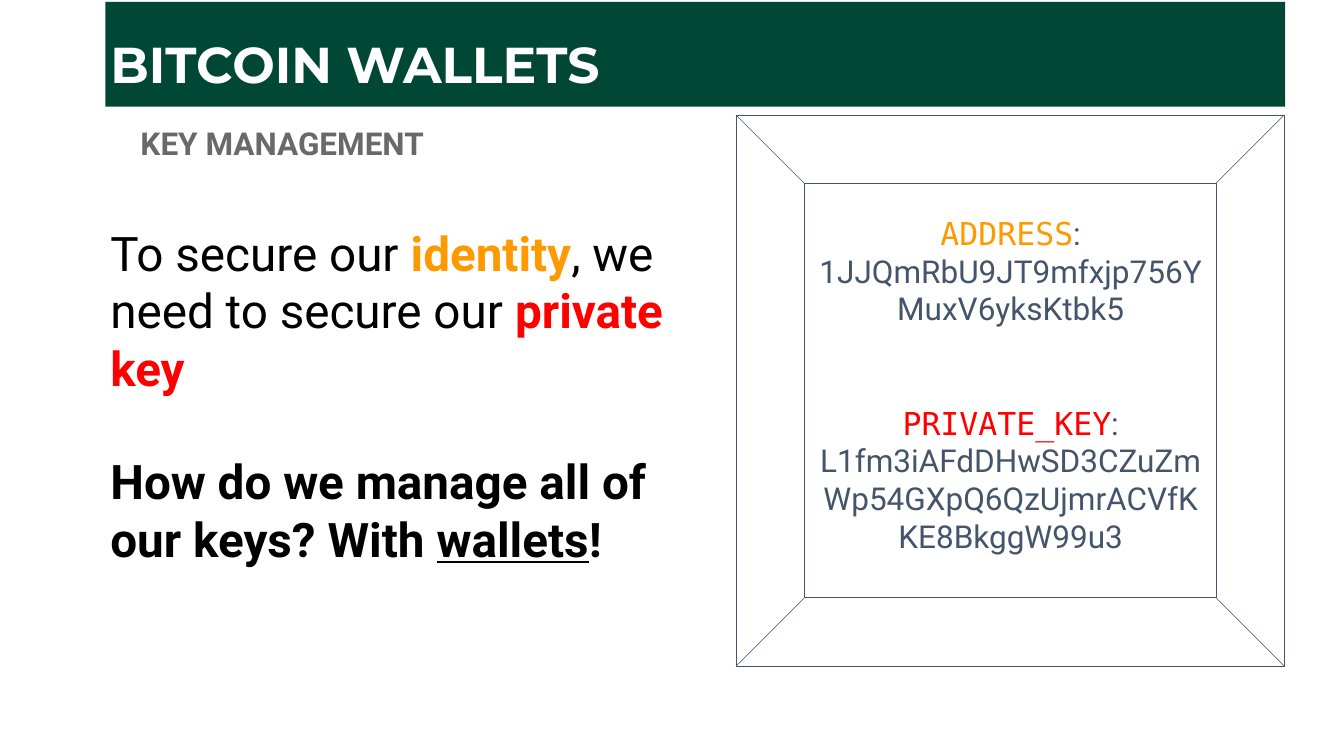
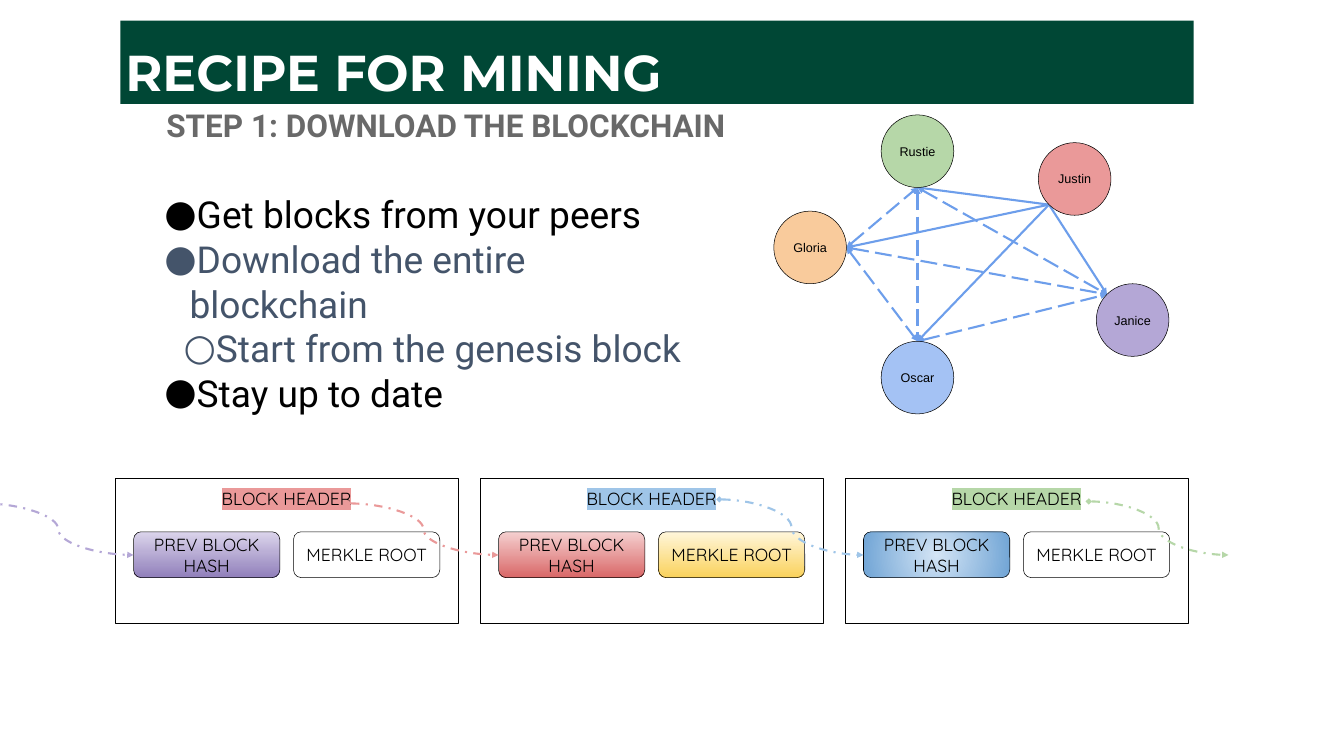
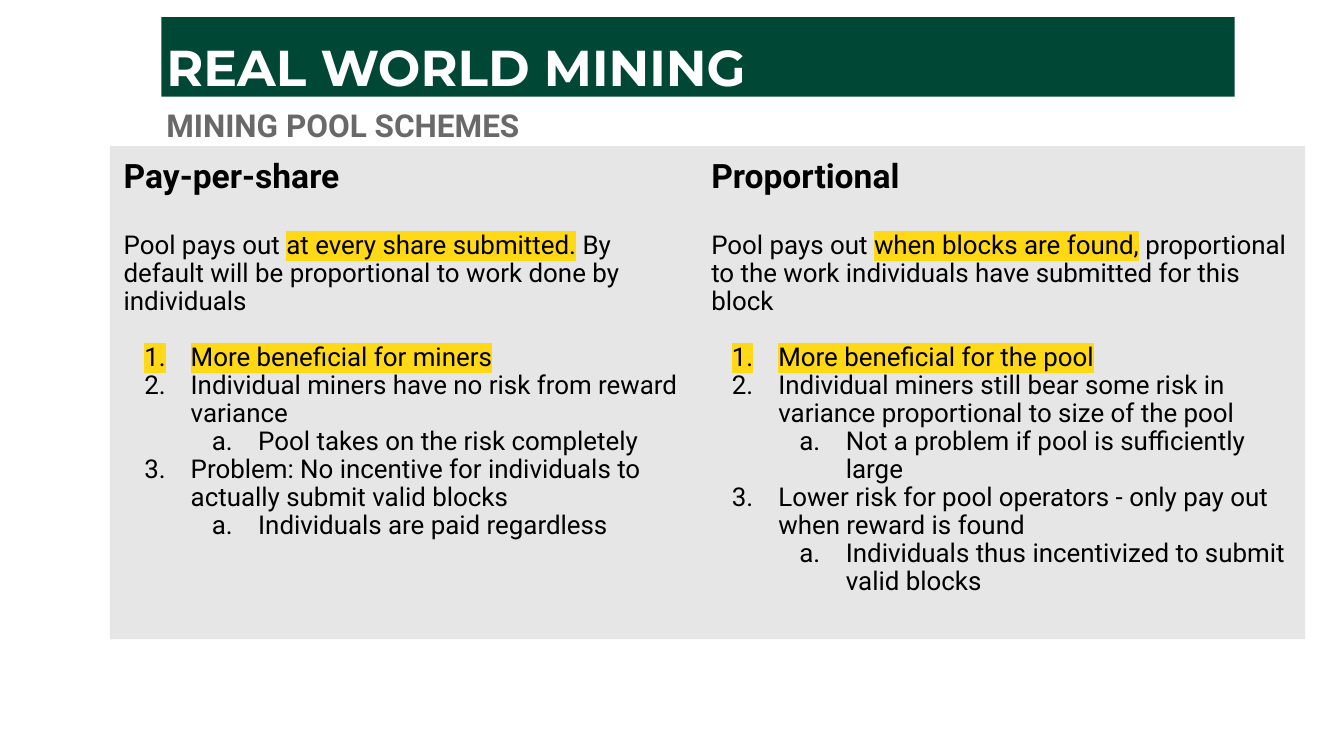
"""Build three slides on wallets, mining and pool schemes."""
from dataclasses import dataclass
from itertools import combinations
from math import cos, radians, sin
from typing import NamedTuple

from lxml import etree
from pptx import Presentation
from pptx import util as u
from pptx.dml.color import RGBColor
from pptx.enum import dml, shapes, text
from pptx.oxml import ns


@dataclass(frozen=True)
class Theme:
    """Colours, fonts and type sizes."""
    green: str = "004735"
    white: str = "FFFFFF"
    black: str = "000000"
    grey: str = "696969"
    panel: str = "E7E6E6"
    slate: str = "44546A"
    orange: str = "FF9900"
    red: str = "FF0000"
    marker: str = "FFD816"
    link: str = "6D9EEB"
    chain: tuple[str, ...] = ("B4A7D6", "EA9999", "9FC5E8", "B6D7A8")
    body_font: str = "Roboto"
    title_font: str = "Montserrat"
    code_font: str = "DejaVu Sans Mono"
    block_font: str = "Quicksand"
    peer_font: str = "Arial"
    title: float = 72
    statement: float = 68
    steps: float = 53
    heading: float = 48
    subtitle: float = 45
    scheme: float = 37
    block: float = 25
    peer: float = 18
    thin: float = 0.75
    thick: float = 3


THEME = Theme()


class Area(NamedTuple):
    """Left, top, width and height in centimetres."""
    left: float
    top: float
    width: float
    height: float

    def lengths(self) -> list[u.Length]:
        """Give the four values as lengths."""
        return [u.Cm(value) for value in self]


class Span(NamedTuple):
    """Text with what differs from its paragraph."""
    words: str
    colour: str | None = None
    bold: bool | None = None
    underline: bool | None = None
    font: str | None = None
    mark: str | None = None


class Bullet(NamedTuple):
    """Bullet kind, its sign and the indents in centimetres."""
    tag: str
    attribute: str
    sign: str
    margin: float
    hang: float
    level: int = 0


@dataclass
class Para:
    """A paragraph and its format."""
    spans: list[Span]
    size: float
    colour: str = THEME.black
    font: str = THEME.body_font
    bold: bool = False
    centred: bool = False
    gap: float = 0
    spacing: float = 1.0
    bullet: Bullet | None = None


class Peer(NamedTuple):
    """A network member, its centre and the angle where links meet it."""
    name: str
    colour: str
    x: float
    y: float
    angle: float

    def hook(self) -> tuple[float, float]:
        """Give the point on the rim where links end."""
        turn = radians(self.angle)
        return self.x + RADIUS * cos(turn), self.y + RADIUS * sin(turn)


class Block(NamedTuple):
    """Fills of the two fields of a block."""
    hash_fill: tuple[str, ...]
    root_fill: tuple[str, ...]
    radial: bool = False


class Scheme(NamedTuple):
    """A pool scheme with its payout rule and listed effects."""
    name: str
    payout: tuple[str, str, str]
    effects: list[tuple[int, str]]


RADIUS = 1.83
DOT = Bullet("a:buChar", "char", "●", 1.27, -1.57)
RING = Bullet("a:buChar", "char", "○", 2.54, -1.57, 1)
NUMBERS = (Bullet("a:buAutoNum", "type", "arabicPeriod", 3.38, -2.34),
           Bullet("a:buAutoNum", "type", "alphaLcPeriod", 6.78, -2.34, 1))

PEERS = [
    Peer("Justin", "EA9999", 54.15, 9.02, 135),
    Peer("Gloria", "F9CB9C", 40.82, 12.47, 0),
    Peer("Rustie", "B6D7A8", 46.23, 7.62, 90),
    Peer("Oscar", "A4C2F4", 46.23, 19.03, 270),
    Peer("Janice", "B4A7D6", 57.07, 16.13, 225),
]
BLOCKS = [
    Block(("DBD4EB", "9180BB"), (THEME.white,)),
    Block(("F5D0D0", "D96868"), ("FFF6DB", "FAD25C")),
    Block(("D4E5F5", "70A4D5"), (THEME.white,), radial=True),
]
LINK_STARTS = [(-0.86, 25.37), (17.55, 25.37), (36.25, 25.17), (54.86, 25.27)]
SCHEMES = [
    Scheme("Pay-per-share",
           ("Pool pays out ", "at every share submitted.",
            " By default will be proportional to work done by individuals"),
           [(0, "More beneficial for miners"),
            (0, "Individual miners have no risk from reward variance"),
            (1, "Pool takes on the risk completely"),
            (0, "Problem: No incentive for individuals to actually submit valid blocks"),
            (1, "Individuals are paid regardless")]),
    Scheme("Proportional",
           ("Pool pays out ", "when blocks are found,",
            " proportional to the work individuals have submitted for this block"),
           [(0, "More beneficial for the pool"),
            (0, "Individual miners still bear some risk in variance proportional to size of the pool"),
            (1, "Not a problem if pool is sufficiently large"),
            (0, "Lower risk for pool operators - only pay out when reward is found"),
            (1, "Individuals thus incentivized to submit valid blocks")]),
]


def add_element(parent, tag: str, **attributes: str):
    """Append a drawing element with its attributes."""
    return etree.SubElement(parent, ns.qn(tag), attributes)


def add_span(para, item: Span) -> None:
    """Add a run with its own format."""
    span = para.add_run()
    span.text = item.words
    if item.mark:
        properties = span._r.get_or_add_rPr()
        add_element(add_element(properties, "a:highlight"), "a:srgbClr", val=item.mark)
    if item.colour:
        span.font.color.rgb = RGBColor.from_string(item.colour)
    if item.bold is not None:
        span.font.bold = item.bold
    if item.underline is not None:
        span.font.underline = item.underline
    if item.font:
        span.font.name = item.font


def format_bullet(para, item: Para) -> None:
    """Set the indents and the bullet of a paragraph."""
    bullet = item.bullet
    properties = para._p.get_or_add_pPr()
    properties.set("marL", str(u.Cm(bullet.margin) if bullet else 0))
    properties.set("indent", str(u.Cm(bullet.hang) if bullet else 0))
    if not bullet:
        add_element(properties, "a:buNone")
        return
    para.level = bullet.level
    add_element(add_element(properties, "a:buClr"), "a:srgbClr", val=item.colour)
    add_element(properties, "a:buFont", typeface=item.font)
    add_element(properties, bullet.tag, **{bullet.attribute: bullet.sign})


def write(box, items: list[Para], inset: tuple[float, float] = (0.25, 0.25),
          middle: bool = False) -> None:
    """Fill a shape with formatted paragraphs."""
    frame = box.text_frame
    frame.auto_size = text.MSO_AUTO_SIZE.NONE
    frame.word_wrap = True
    frame.margin_left = frame.margin_right = u.Cm(inset[0])
    frame.margin_top = frame.margin_bottom = u.Cm(inset[1])
    frame.vertical_anchor = text.MSO_ANCHOR.MIDDLE if middle else text.MSO_ANCHOR.TOP
    for index, item in enumerate(items):
        para = frame.add_paragraph() if index else frame.paragraphs[0]
        format_bullet(para, item)
        para.alignment = text.PP_ALIGN.CENTER if item.centred else text.PP_ALIGN.LEFT
        para.line_spacing = item.spacing
        para.space_before = u.Pt(item.gap)
        para.font.size = u.Pt(item.size)
        para.font.name = item.font
        para.font.bold = item.bold
        para.font.color.rgb = RGBColor.from_string(item.colour)
        for span in item.spans:
            add_span(para, span)


def place(box, area: Area) -> None:
    """Move a placeholder to an area."""
    box.left, box.top, box.width, box.height = area.lengths()


def paint(box, fills: tuple[str, ...], radial: bool = False) -> None:
    """Fill a shape with one colour or a gradient of two."""
    if len(fills) == 1:
        box.fill.solid()
        box.fill.fore_color.rgb = RGBColor.from_string(fills[0])
        return
    box.fill.gradient()
    for stop, colour in zip(box.fill.gradient_stops, fills):
        stop.color.rgb = RGBColor.from_string(colour)
    box.fill.gradient_angle = 270
    if radial:
        gradient = box.element.spPr.find(ns.qn("a:gradFill"))
        gradient.remove(gradient.find(ns.qn("a:lin")))
        circle = add_element(gradient, "a:path", path="circle")
        add_element(circle, "a:fillToRect", **dict.fromkeys("ltrb", "50000"))


def add_box(page, kind, area: Area, fills: tuple[str, ...] = (),
            line: str = THEME.black, radial: bool = False):
    """Add a thinly outlined preset shape."""
    box = page.shapes.add_shape(kind, *area.lengths())
    box.shadow.inherit = False
    if fills:
        paint(box, fills, radial)
    else:
        box.fill.background()
    box.line.color.rgb = RGBColor.from_string(line)
    box.line.width = u.Pt(THEME.thin)
    return box


def add_text(page, area: Area, items: list[Para], **options) -> None:
    """Add a text box."""
    write(page.shapes.add_textbox(*area.lengths()), items, **options)


def add_link(page, kind, start: tuple[float, float], end: tuple[float, float],
             colour: str, dash=None, head: str = "none") -> None:
    """Add a connector with an arrow at its end."""
    link = page.shapes.add_connector(kind, *[u.Cm(value) for value in start + end])
    link.line.color.rgb = RGBColor.from_string(colour)
    link.line.width = u.Pt(THEME.thick)
    if dash:
        link.line.dash_style = dash
    properties = link.element.spPr
    line = properties.find(ns.qn("a:ln"))
    add_element(line, "a:headEnd", type=head)
    add_element(line, "a:tailEnd", type="triangle")
    add_element(properties, "a:effectLst")


def add_page(deck, layout: int, title: str, band: Area, subtitle: str, spot: Area):
    """Add a slide with its title band and subtitle."""
    page = deck.slides.add_slide(deck.slide_layouts[layout])
    box = page.shapes.title
    place(box, band)
    paint(box, (THEME.green,))
    write(box, [Para([Span(title)], THEME.title, THEME.white, THEME.title_font,
                     bold=True, spacing=1.31)], (0.25, 0.13), middle=True)
    add_text(page, spot, [Para([Span(subtitle)], THEME.subtitle, THEME.grey, bold=True)],
             inset=(0.25, 0.13), middle=True)
    return page


def build_wallets(deck) -> None:
    """Build the slide on key management."""
    page = add_page(deck, 1, "BITCOIN WALLETS", Area(5.31, 0.1, 59.44, 5.28),
                    "KEY MANAGEMENT", Area(6.83, 5.82, 29.9, 2.79))
    body = page.placeholders[1]
    place(body, Area(5.31, 11.05, 30.91, 17.45))
    write(body, [
        Para([Span("To secure our "), Span("identity", THEME.orange, True),
              Span(", we need to secure our "), Span("private key", THEME.red, True)],
             THEME.statement),
        Para([Span("How do we manage all of our keys? With "),
              Span("wallets", underline=True), Span("!")],
             THEME.statement, bold=True, gap=81),
    ])
    safe = add_box(page, shapes.MSO_SHAPE.BEVEL, Area(37.08, 5.79, 27.64, 27.79),
                   line=THEME.slate)
    safe.adjustments[0] = 0.125
    entries = [
        ("ADDRESS", THEME.orange, ": 1JJQmRbU9JT9mfxjp756YMuxV6yksKtbk5",
         Area(40.89, 10.52, 20.07, 8), (0.25, 0.25)),
        ("PRIVATE_KEY", THEME.red,
         ": L1fm3iAFdDHwSD3CZuZmWp54GXpQ6QzUjmrACVfKKE8BkggW99u3",
         Area(40.89, 20.24, 20.07, 8.59), (0.18, 0.1)),
    ]
    for label, colour, value, area, inset in entries:
        add_text(page, area, [Para([Span(label, colour, font=THEME.code_font), Span(value)],
                                   THEME.subtitle, THEME.slate, centred=True)], inset=inset)


def draw_network(page) -> None:
    """Link every pair of peers; the first peer only sends."""
    for near, far in combinations(PEERS, 2):
        sends = near is PEERS[0]
        add_link(page, shapes.MSO_CONNECTOR.STRAIGHT, near.hook(), far.hook(), THEME.link,
                 None if sends else dml.MSO_LINE.LONG_DASH,
                 "none" if sends else "triangle")
    for peer in PEERS:
        area = Area(peer.x - RADIUS, peer.y - RADIUS, 2 * RADIUS, 2 * RADIUS)
        circle = add_box(page, shapes.MSO_SHAPE.OVAL, area, (peer.colour,))
        write(circle, [Para([Span(peer.name)], THEME.peer, font=THEME.peer_font,
                            centred=True)], (0.1, 0.1), middle=True)


def draw_chain(page) -> None:
    """Draw the blocks and the links between them."""
    first, step = 5.79, 18.39
    for index, block in enumerate(BLOCKS):
        left = first + index * step
        outline = add_box(page, shapes.MSO_SHAPE.RECTANGLE,
                          Area(left, 24.08, 17.3, 7.32), (THEME.white,))
        header = Span("BLOCK HEADER", mark=THEME.chain[index + 1])
        write(outline, [Para([header], THEME.block, font=THEME.block_font, centred=True)],
              (0.25, 0.5))
        fields = [("PREV BLOCK HASH", 0.94, block.hash_fill, block.radial),
                  ("MERKLE ROOT", 9, block.root_fill, False)]
        for label, offset, fills, radial in fields:
            field = add_box(page, shapes.MSO_SHAPE.ROUNDED_RECTANGLE,
                            Area(left + offset, 26.8, 7.37, 2.31), fills, radial=radial)
            write(field, [Para([Span(label)], THEME.block, font=THEME.block_font,
                               centred=True)], middle=True)
    for index, (start, colour) in enumerate(zip(LINK_STARTS, THEME.chain)):
        add_link(page, shapes.MSO_CONNECTOR.CURVE, start,
                 (first + index * step + 0.94, 27.97), colour,
                 dml.MSO_LINE.DASH_DOT, "diamond")


def build_recipe(deck) -> None:
    """Build the slide on downloading the chain."""
    page = add_page(deck, 1, "RECIPE FOR MINING", Area(6.07, 1.04, 54.08, 4.19),
                    "STEP 1: DOWNLOAD THE BLOCKCHAIN", Area(8.13, 4.9, 29.9, 2.79))
    body = page.placeholders[1]
    place(body, Area(8.03, 9.42, 26.59, 11.05))
    steps = [("Get blocks from your peers", THEME.black, DOT),
             ("Download the entire blockchain", THEME.slate, DOT),
             ("Start from the genesis block", THEME.slate, RING),
             ("Stay up to date", THEME.black, DOT)]
    write(body, [Para([Span(words)], THEME.steps, colour, bullet=bullet)
                 for words, colour, bullet in steps])
    draw_chain(page)
    draw_network(page)


def build_pools(deck) -> None:
    """Build the slide that compares pool schemes."""
    page = add_page(deck, 3, "REAL WORLD MINING", Area(8.13, 0.86, 54.08, 4.01),
                    "MINING POOL SCHEMES", Area(8.13, 4.9, 30.61, 2.79))
    areas = [Area(5.54, 7.37, 29.62, 24.84), Area(35.15, 7.37, 30.61, 24.84)]
    for index, (scheme, area) in enumerate(zip(SCHEMES, areas), start=1):
        body = page.placeholders[index]
        place(body, area)
        paint(body, (THEME.panel,))
        before, marked, after = scheme.payout
        items = [Para([Span(scheme.name)], THEME.heading, bold=True, spacing=0.9),
                 Para([Span(before), Span(marked, mark=THEME.marker), Span(after)],
                      THEME.scheme, gap=52, spacing=0.9)]
        for rank, (level, words) in enumerate(scheme.effects):
            mark = None if rank else THEME.marker
            items.append(Para([Span(words, mark=mark)], THEME.scheme, spacing=0.9,
                              gap=0 if rank else 40, bullet=NUMBERS[level]))
        write(body, items, (0.69, 0.69))


def main() -> None:
    """Build and save the deck."""
    deck = Presentation()
    deck.slide_width, deck.slide_height = u.Cm(67.72), u.Cm(38.1)
    build_wallets(deck)
    build_recipe(deck)
    build_pools(deck)
    deck.save("out.pptx")


if __name__ == "__main__":
    main()
